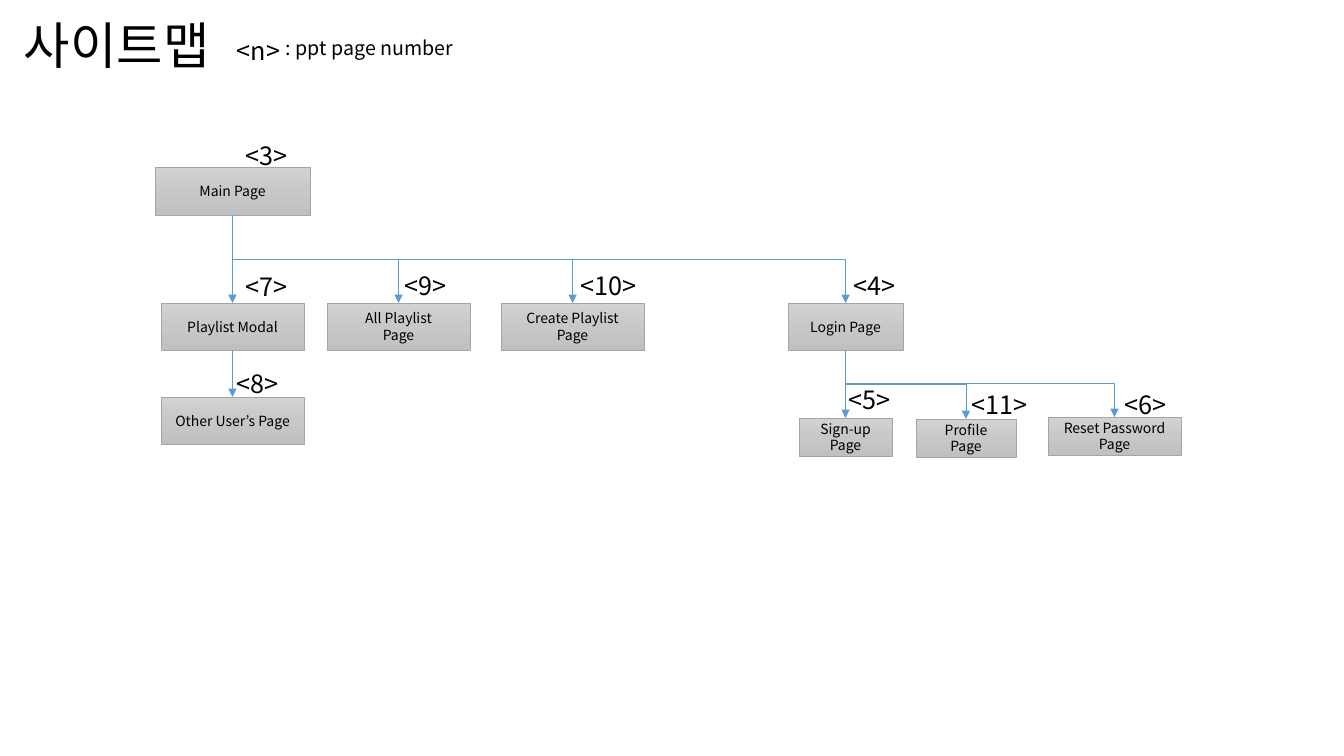
from copy import deepcopy

from pptx import Presentation
from pptx.dml.color import RGBColor
from pptx.enum.shapes import MSO_CONNECTOR, MSO_SHAPE
from pptx.enum.text import MSO_ANCHOR, MSO_AUTO_SIZE, PP_ALIGN
from pptx.oxml.ns import qn
from pptx.oxml.xmlchemy import OxmlElement
from pptx.util import Emu, Pt

RECTANGLE = MSO_SHAPE.RECTANGLE
STRAIGHT, ELBOW = MSO_CONNECTOR.STRAIGHT, MSO_CONNECTOR.ELBOW
MIDDLE, CENTER, LEFT = MSO_ANCHOR.MIDDLE, PP_ALIGN.CENTER, PP_ALIGN.LEFT
GROW, FIXED = MSO_AUTO_SIZE.SHAPE_TO_FIT_TEXT, MSO_AUTO_SIZE.NONE
BOTTOM_SIDE, TOP_SIDE = 2, 0
FONT = "Noto Sans CJK KR"
COLORS = {
    "text": "000000",
    "arrow": "5B9BD5",
    "border": "A5A5A5",
    "light": "D2D2D2",
    "middle": "C8C8C8",
    "dark": "C0C0C0",
}
RGB = {name: RGBColor.from_string(value) for name, value in COLORS.items()}
GRADIENT = [(0, "light"), (0.5, "middle"), (1, "dark")]


def px(length):
    return Emu(round(length * 914400 / 100.8))


def write_text(shape, text, size, frame_format, paragraph_format):
    frame = shape.text_frame
    frame.text = text
    for name, value in frame_format.items():
        setattr(frame, name, value)
    for paragraph in frame.paragraphs:
        for name, value in paragraph_format.items():
            setattr(paragraph, name, value)
        for run in paragraph.runs:
            for name, value in {"name": FONT, "size": Pt(size)}.items():
                setattr(run.font, name, value)
            run.font.color.rgb = RGB["text"]
            east_asian = OxmlElement("a:ea")
            east_asian.set("typeface", FONT)
            run.font._element.append(east_asian)


presentation = Presentation()
presentation.slide_width = px(1344)
presentation.slide_height = px(756)
slide = presentation.slides.add_slide(presentation.slide_layouts[6])

pages = {
    "main": ("Main Page", 155, 167, 155, 48),
    "modal": ("Playlist Modal", 161, 303, 143, 47),
    "login": ("Login Page", 788, 303, 115, 47),
    "create": ("Create Playlist\nPage", 501, 303, 143, 47),
    "reset": ("Reset Password Page", 1048, 417, 133, 38),
    "all": ("All Playlist\nPage", 327, 303, 143, 47),
    "profile": ("Profile\nPage", 916, 419, 100, 38),
    "signup": ("Sign-up Page", 799, 418, 93, 38),
    "other": ("Other User’s Page", 161, 397, 143, 47),
}
page_frame = {"word_wrap": True, "vertical_anchor": MIDDLE}
page_shapes = {}
for key, (text, *box) in pages.items():
    shape = slide.shapes.add_shape(RECTANGLE, *map(px, box))
    shape.shadow.inherit = False
    shape.fill.gradient()
    shape.fill.gradient_angle = 270
    stops = shape._element.spPr.find(".//" + qn("a:gsLst"))
    stops.insert(1, deepcopy(stops[0]))
    for stop, (position, color) in zip(shape.fill.gradient_stops, GRADIENT):
        stop.position = position
        stop.color.rgb = RGB[color]
    shape.line.color.rgb = RGB["border"]
    shape.line.width = Pt(0.5)
    write_text(shape, text, 10, page_frame, {"alignment": CENTER})
    page_shapes[key] = shape

links = [
    ("main", "modal", STRAIGHT),
    ("main", "login", ELBOW),
    ("login", "signup", STRAIGHT),
    ("login", "profile", ELBOW),
    ("login", "reset", ELBOW),
    ("main", "create", ELBOW),
    ("main", "all", ELBOW),
    ("modal", "other", STRAIGHT),
]
for source, target, kind in links:
    connector = slide.shapes.add_connector(kind, 0, 0, 0, 0)
    connector.begin_connect(page_shapes[source], BOTTOM_SIDE)
    connector.end_connect(page_shapes[target], TOP_SIDE)
    if kind == ELBOW:
        across = connector.end_x - connector.begin_x
        down = connector.end_y - connector.begin_y
        turned = {
            "left": connector.begin_x + (across - down) // 2,
            "top": connector.begin_y + (down - across) // 2,
            "width": down,
            "height": across,
        }
        for name, value in turned.items():
            setattr(connector, name, Emu(value))
        transform = connector._element.spPr.find(qn("a:xfrm"))
        transform.set("rot", "16200000")
        transform.set("flipH", "1")
    connector.line.color.rgb = RGB["arrow"]
    connector.line.width = Pt(0.5)
    arrowhead = OxmlElement("a:tailEnd")
    arrowhead.set("type", "triangle")
    connector.line._get_or_add_ln().append(arrowhead)
    connector._element.spPr.append(OxmlElement("a:effectLst"))

headings = [
    (": ppt page number", 14, 276, 34, 194, 37),
    ("사이트맵", 36, 14, 16, 238, 84),
]
heading_frame = {"word_wrap": True, "auto_size": FIXED}
for text, size, *box in headings:
    shape = slide.shapes.add_textbox(*map(px, box))
    write_text(shape, text, size, heading_frame, {"alignment": LEFT, "line_spacing": 0.9})

page_numbers = [
    ("<3>", 236, 135, 70),
    ("<7>", 236, 266, 70),
    ("<8>", 227, 363, 70),
    ("<9>", 395, 265, 70),
    ("<10>", 571, 265, 84),
    ("<4>", 844, 265, 70),
    ("<5>", 839, 379, 70),
    ("<11>", 962, 384, 84),
    ("<6>", 1115, 384, 70),
    ("<n>", 227, 30, 71),
]
number_frame = {"word_wrap": False, "auto_size": GROW}
for text, left, top, width in page_numbers:
    shape = slide.shapes.add_textbox(px(left), px(top), px(width), px(40))
    write_text(shape, text, 18, number_frame, {"alignment": LEFT})

presentation.save("out.pptx")
